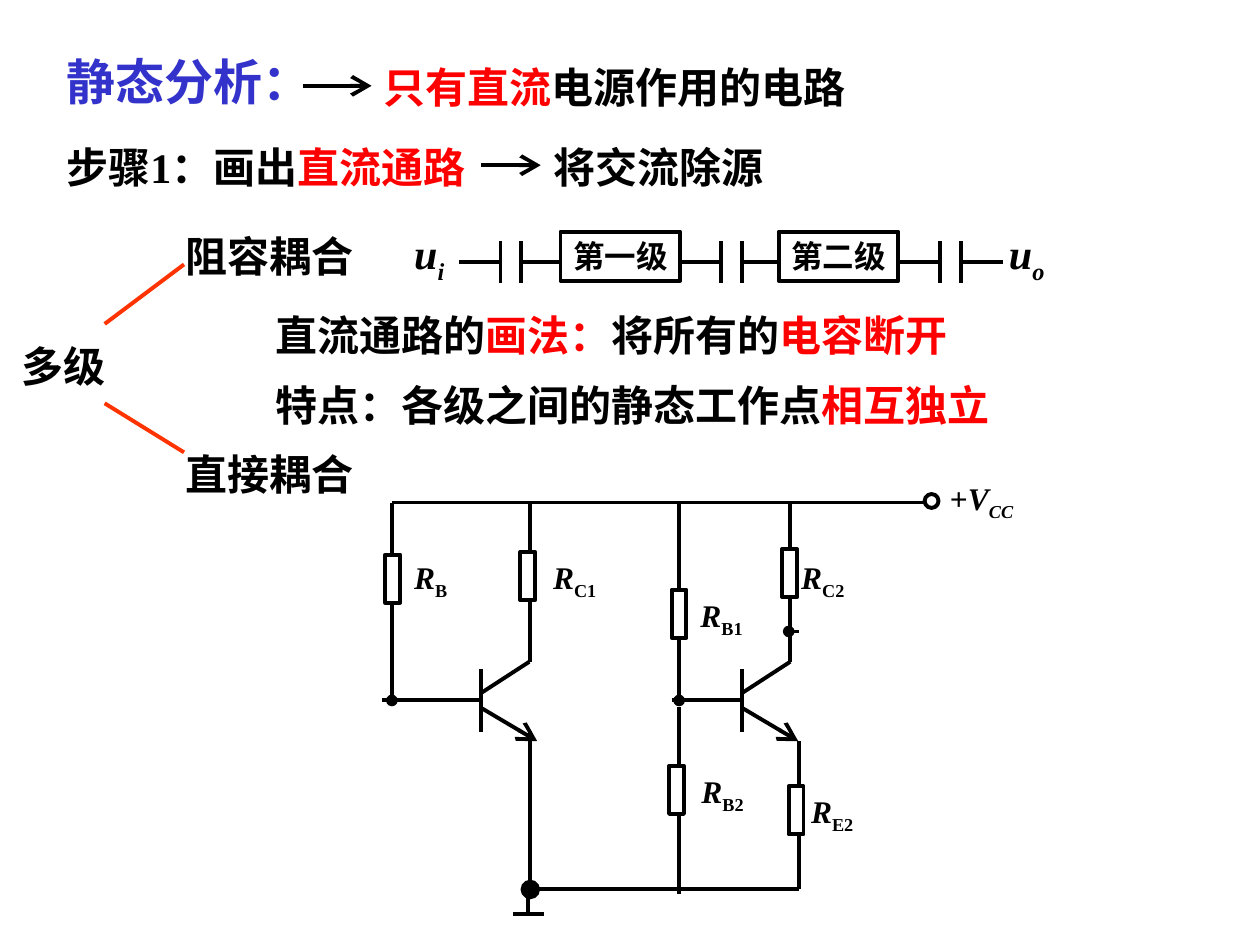
from dataclasses import dataclass

from lxml.etree import SubElement
from pptx import Presentation
from pptx.dml.color import RGBColor
from pptx.enum.shapes import MSO_CONNECTOR, MSO_SHAPE
from pptx.enum.text import MSO_ANCHOR, PP_ALIGN
from pptx.oxml.ns import qn
from pptx.util import Cm, Pt


@dataclass(frozen=True)
class Theme:
    black: str = "000000"
    white: str = "FFFFFF"
    blue: str = "3333CC"
    red: str = "FF0000"
    orange: str = "FF3300"
    serif: str = "Times New Roman"
    sans: str = "Arial"
    title: int = 28
    body: int = 24
    label: int = 18
    stroke: float = 2.25
    subscript: int = -25


THEME = Theme()


def add_span(para, text, size=THEME.body, colour=THEME.black, font=THEME.serif,
             italic=False, subscript=False):
    span = para.add_run()
    span.text = text
    span.font.name = font
    span.font.size = Pt(size)
    span.font.bold = True
    span.font.italic = italic
    span.font.color.rgb = RGBColor.from_string(colour)
    if subscript:
        span.font._element.set("baseline", f"{THEME.subscript * 1000}")


def add_text(page, left, top, width, height, *spans, **common):
    box = page.shapes.add_textbox(Cm(left), Cm(top), Cm(width), Cm(height))
    box.text_frame.word_wrap = True
    para = box.text_frame.paragraphs[0]
    for text, style in spans:
        add_span(para, text, **{**common, **style})


def add_symbol(page, left, top, name, index, width=1.6, height=1.12,
               size=THEME.label, upright=True):
    add_text(page, left, top, width, height, (name, {"italic": True}),
             (index, {"italic": not upright, "subscript": True}), size=size)


def add_wire(page, start, end, colour=THEME.black, head=None, tail=None, end_size="med"):
    ends = [Cm(value) for value in (*start, *end)]
    wire = page.shapes.add_connector(MSO_CONNECTOR.STRAIGHT, *ends)
    wire.line.color.rgb = RGBColor.from_string(colour)
    wire.line.width = Pt(THEME.stroke)
    line = wire.line._get_or_add_ln()
    for tag, kind in (("a:headEnd", head), ("a:tailEnd", tail)):
        if kind:
            SubElement(line, qn(tag), type=kind, w=end_size, len=end_size)
    SubElement(wire._element.spPr, qn("a:effectLst"))


def add_arrow(page, start, end):
    add_wire(page, start, end, tail="arrow", end_size="lg")


def add_outline(page, kind, left, top, width, height):
    shape = page.shapes.add_shape(kind, Cm(left), Cm(top), Cm(width), Cm(height))
    shape.shadow.inherit = False
    shape.fill.solid()
    shape.fill.fore_color.rgb = RGBColor.from_string(THEME.white)
    shape.line.color.rgb = RGBColor.from_string(THEME.black)
    shape.line.width = Pt(THEME.stroke)
    return shape


def add_stage(page, left, name):
    shape = add_outline(page, MSO_SHAPE.RECTANGLE, left, 4.67, 2.41, 0.99)
    shape.text_frame.word_wrap = False
    shape.text_frame.vertical_anchor = MSO_ANCHOR.MIDDLE
    para = shape.text_frame.paragraphs[0]
    para.alignment = PP_ALIGN.CENTER
    add_span(para, name, size=THEME.label)


def add_capacitor(page, left, middle=5.28, lead=0.84, gap=0.42, plate=0.42):
    right = left + lead + gap
    add_wire(page, (left, middle), (left + lead, middle))
    add_wire(page, (right, middle), (right + lead, middle))
    for x in (left + lead, right):
        add_wire(page, (x, middle - plate), (x, middle + plate))


def add_transistor(page, start, x, base):
    add_wire(page, (start, base), (x, base))
    add_wire(page, (x, base - 0.63), (x, base + 0.64))
    add_wire(page, (x, base - 0.15), (x + 0.97, base - 0.78))
    add_arrow(page, (x, base + 0.15), (x + 1.13, base + 0.82))


def add_resistor(page, left, top, index, label_left, label_top):
    add_outline(page, MSO_SHAPE.RECTANGLE, left, top, 0.3, 0.97)
    add_symbol(page, label_left, label_top, "R", index)


def draw_headings(page):
    red = {"colour": THEME.red}
    add_text(page, 1.09, 0.91, 11, 1.45, ("静态分析：", {}),
             size=THEME.title, colour=THEME.blue)
    add_arrow(page, (6.1, 1.73), (7.49, 1.73))
    add_arrow(page, (9.7, 3.33), (10.9, 3.33))
    lines = (
        (7.49, 1.12, 10.39, ("只有直流", red), ("电源作用的电路", {})),
        (1.09, 2.72, 14.2, ("步骤1：画出", {}), ("直流通路", red)),
        (10.9, 2.72, 7.59, ("将交流除源", {})),
        (5.31, 6.12, 16.79, ("直流通路的", {}), ("画法：", red),
         ("将所有的", {}), ("电容断开", red)),
        (5.31, 7.52, 15.6, ("特点：各级之间的静态工作点", {}), ("相互独立", red)),
    )
    for left, top, width, *spans in lines:
        add_text(page, left, top, width, 1.27, *spans)


def draw_branches(page):
    for left, top, width, name in ((0.19, 6.73, 2.7, "多级"),
                                   (3.5, 4.52, 4.01, "阻容耦合"),
                                   (3.5, 8.92, 4.01, "直接耦合")):
        add_text(page, left, top, width, 1.27, (name, {}), font=THEME.sans)
    add_wire(page, (2.11, 6.53), (3.71, 5.33), colour=THEME.orange)
    add_wire(page, (2.11, 8.13), (3.71, 9.12), colour=THEME.orange)


def draw_coupled_stages(page):
    for left in (9.25, 13.69, 18.11):
        add_capacitor(page, left)
    add_stage(page, 11.3, "第一级")
    add_stage(page, 15.7, "第二级")
    for left, index in ((8.1, "i"), (20.09, "o")):
        add_symbol(page, left, 4.47, "u", index, height=1.42,
                   size=THEME.body, upright=False)


def draw_amplifier(page):
    supply, base, collector, ground = 10.13, 14.12, 13.34, 17.93
    bias, first, divider, second, emitter = 7.9, 10.69, 13.69, 15.93, 16.1

    add_wire(page, (bias, supply), (18.64, supply))
    for x in (bias, divider):
        add_wire(page, (x, supply), (x, base), tail="oval")
    for x in (first, second):
        add_wire(page, (x, supply), (x, collector))
    add_transistor(page, 7.7, 9.7, base)
    add_transistor(page, 13.54, 14.96, base)

    add_wire(page, (first, 14.73), (first, ground), tail="oval", end_size="lg")
    add_wire(page, (divider, 14.25), (divider, 18.03))
    add_wire(page, (emitter, 14.94), (emitter, ground))
    add_wire(page, (first, ground), (emitter, ground))
    add_wire(page, (10.64, ground), (10.64, 18.42))
    add_wire(page, (10.34, 18.42), (10.97, 18.42))
    add_wire(page, (15.9, 12.73), (emitter, 12.73), head="oval")

    for resistor in ((7.77, 11.18, "B", 8.1, 11.13),
                     (10.49, 11.13, "C1", 10.9, 11.13),
                     (13.54, 11.89, "B1", 13.87, 11.89),
                     (15.77, 11.07, "C2", 15.9, 11.13),
                     (13.49, 15.44, "B2", 13.89, 15.44),
                     (15.9, 15.85, "E2", 16.1, 15.85)):
        add_resistor(page, *resistor)

    add_outline(page, MSO_SHAPE.OVAL, 18.64, 9.96, 0.28, 0.28)
    add_text(page, 18.9, 9.53, 3.35, 1.12, ("+", {}), ("V", {"italic": True}),
             ("CC", {"italic": True, "subscript": True}), size=THEME.label)


def main():
    deck = Presentation()
    deck.slide_width, deck.slide_height = Cm(25.4), Cm(19.05)
    page = deck.slides.add_slide(deck.slide_layouts[6])
    draw_headings(page)
    draw_branches(page)
    draw_coupled_stages(page)
    draw_amplifier(page)
    deck.save("out.pptx")


if __name__ == "__main__":
    main()
